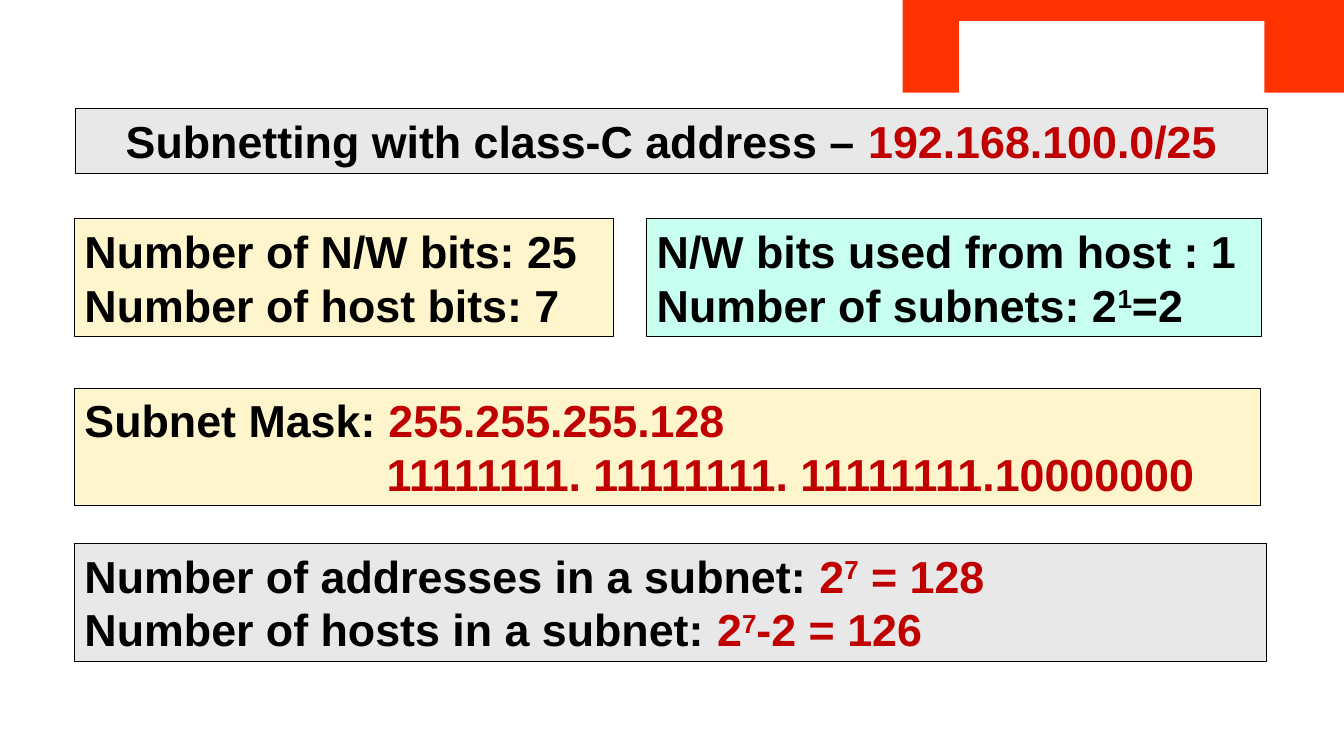
from dataclasses import dataclass

from pptx import Presentation
from pptx.dml.color import RGBColor
from pptx.enum.shapes import MSO_SHAPE as ShapeKind
from pptx.enum.text import MSO_ANCHOR as Anchor, MSO_AUTO_SIZE as AutoSize, PP_ALIGN as Align
from pptx.shapes.autoshape import Shape
from pptx.slide import Slide
from pptx.text.text import _Paragraph as Paragraph
from pptx.util import Pt

COLORS = {
    "black": "000000",
    "red": "C00000",
    "orange": "FF3300",
    "white": "FFFFFF",
    "gray": "E8E8E8",
    "cream": "FFF5CC",
    "mint": "C7FFF0",
}
SLIDE_WIDTH, SLIDE_HEIGHT = 960.48, 540
LEFT = 53.28
TWO_LINES = 84.24
BITS_TOP, MASK_TOP, HOSTS_TOP = 156.24, 277.2, 388.08


@dataclass(frozen=True)
class Piece:
    text: str
    color: str = "black"
    superscript: bool = False


@dataclass(frozen=True)
class Line:
    pieces: tuple[Piece, ...]
    indent: float = 0


@dataclass(frozen=True)
class Panel:
    left: float
    top: float
    width: float
    height: float
    fill: str
    lines: tuple[Line, ...] = ()
    align: Align = Align.LEFT


def line(*pieces: Piece, indent: float = 0) -> Line:
    return Line(pieces, indent)


def red(text: str) -> Piece:
    return Piece(text, "red")


def power_of_two(exponent: str, rest: str) -> tuple[Piece, ...]:
    return red("2"), Piece(exponent, "red", True), red(rest)


HEADER = (
    Panel(645.12, 0, SLIDE_WIDTH - 645.12, 66.24, "orange"),
    Panel(685.44, 15.12, 218.16, 54, "white"),
)
PANELS = (
    Panel(54, 77.76, 851.76, 46.08, "gray", (
        line(Piece("Subnetting with class-C address – "), red("192.168.100.0/25")),
    ), Align.CENTER),
    Panel(LEFT, BITS_TOP, 385.2, TWO_LINES, "cream", (
        line(Piece("Number of N/W bits: 25")),
        line(Piece("Number of host bits: 7")),
    )),
    Panel(462.24, BITS_TOP, 439.2, TWO_LINES, "mint", (
        line(Piece("N/W bits used from host : 1")),
        line(Piece("Number of subnets: 2"), Piece("1", superscript=True), Piece("=2")),
    )),
    Panel(LEFT, MASK_TOP, 847.44, TWO_LINES, "cream", (
        line(Piece("Subnet Mask: "), red("255.255.255.128")),
        line(red("11111111. 11111111. 11111111.10000000"), indent=216),
    )),
    Panel(LEFT, HOSTS_TOP, 851.76, TWO_LINES, "gray", (
        line(Piece("Number of addresses in a subnet: "), *power_of_two("7", " = 128")),
        line(Piece("Number of hosts in a subnet: "), *power_of_two("7", "-2 = 126")),
    )),
)


def rgb(name: str) -> RGBColor:
    return RGBColor.from_string(COLORS[name])


def add_rectangle(slide: Slide, panel: Panel) -> Shape:
    shape = slide.shapes.add_shape(
        ShapeKind.RECTANGLE, Pt(panel.left), Pt(panel.top), Pt(panel.width), Pt(panel.height)
    )
    shape.shadow.inherit = False
    shape.fill.solid()
    shape.fill.fore_color.rgb = rgb(panel.fill)
    shape.line.fill.background()
    return shape


def add_piece(paragraph: Paragraph, piece: Piece) -> None:
    run = paragraph.add_run()
    run.text = piece.text
    run.font.name = "Arial"
    run.font.size = Pt(32)
    run.font.bold = True
    run.font.color.rgb = rgb(piece.color)
    if piece.superscript:
        run.font._element.set("baseline", "30000")


def add_text_panel(slide: Slide, panel: Panel) -> None:
    shape = add_rectangle(slide, panel)
    shape.line.color.rgb = rgb("black")
    shape.line.width = Pt(0.75)
    frame = shape.text_frame
    frame.word_wrap = True
    frame.auto_size = AutoSize.SHAPE_TO_FIT_TEXT
    frame.vertical_anchor = Anchor.TOP
    for index, text_line in enumerate(panel.lines):
        paragraph = frame.add_paragraph() if index else frame.paragraphs[0]
        paragraph.alignment = panel.align
        if text_line.indent:
            paragraph._p.get_or_add_pPr().set("marL", str(Pt(text_line.indent)))
        for piece in text_line.pieces:
            add_piece(paragraph, piece)


def main() -> None:
    presentation = Presentation()
    presentation.slide_width = Pt(SLIDE_WIDTH)
    presentation.slide_height = Pt(SLIDE_HEIGHT)
    slide = presentation.slides.add_slide(presentation.slide_layouts[6])
    for block in HEADER:
        add_rectangle(slide, block)
    for panel in PANELS:
        add_text_panel(slide, panel)
    presentation.save("out.pptx")


if __name__ == "__main__":
    main()
